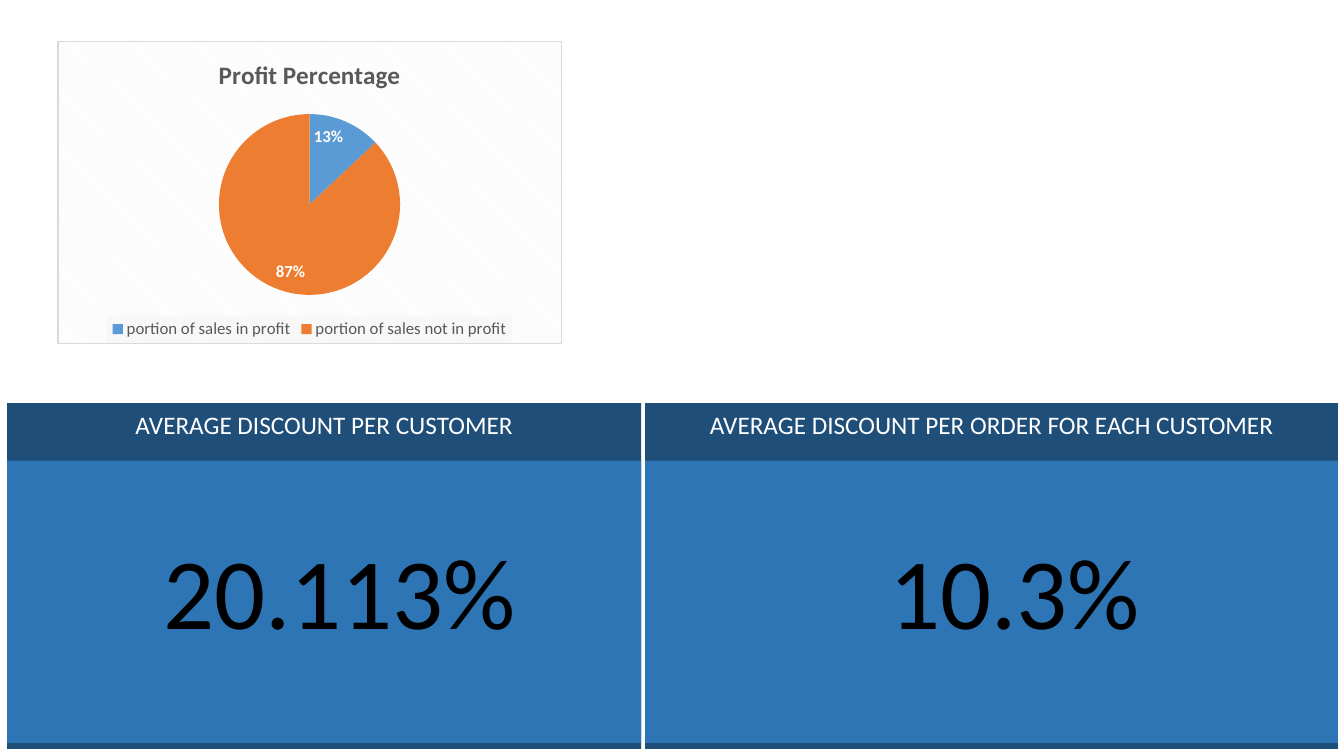
import pptx
import pptx.chart.data
import pptx.dml.color
import pptx.enum.chart
import pptx.enum.shapes
import pptx.enum.text
import pptx.oxml
import pptx.oxml.ns
import pptx.util
from pptx.util import Inches

NAMESPACES = pptx.oxml.ns.nsdecls("c", "a")


def color(hex_code):
    return pptx.dml.color.RGBColor.from_string(hex_code)


def area_format(content):
    """Return a chart spPr element holding the given fill and line XML."""
    return pptx.oxml.parse_xml(f"<c:spPr {NAMESPACES}>{content}</c:spPr>")


class Dashboard:
    FONT = "Calibri"
    HEADER_FILL = "1F4E79"
    VALUE_FILL = "2E75B6"
    GRAY = "595959"
    TOP = 4
    HEADER_HEIGHT = 0.57

    def __init__(self, slide):
        self.slide = slide

    def style_font(self, font, size, hex_code, bold=False):
        font.name = self.FONT
        font.size = pptx.util.Pt(size)
        font.bold = bold
        font.color.rgb = color(hex_code)

    def box(self, left, top, width, height, fill, text, size, text_color):
        shape = self.slide.shapes.add_shape(
            pptx.enum.shapes.MSO_SHAPE.RECTANGLE,
            Inches(left), Inches(top), Inches(width), Inches(height))
        shape.shadow.inherit = False
        shape.fill.solid()
        shape.fill.fore_color.rgb = color(fill)
        shape.line.fill.background()
        shape.text_frame.text = text
        shape.text_frame.word_wrap = True
        self.style_font(shape.text_frame.paragraphs[0].runs[0].font, size, text_color)
        return shape

    def metric(self, left, width, heading, value, value_indent):
        """Draw a dark panel with a heading and a lighter area with a large value."""
        panel = self.box(left, self.TOP, width, 3.43, self.HEADER_FILL, heading, 18, "FFFFFF")
        panel.text_frame.vertical_anchor = pptx.enum.text.MSO_ANCHOR.TOP
        panel.text_frame.margin_top = Inches(0.06)
        panel.text_frame.paragraphs[0].alignment = pptx.enum.text.PP_ALIGN.CENTER

        area = self.box(left, self.TOP + self.HEADER_HEIGHT, width, 2.8,
                        self.VALUE_FILL, value, 72, "000000")
        area.text_frame.vertical_anchor = pptx.enum.text.MSO_ANCHOR.MIDDLE
        area.text_frame.margin_left = Inches(value_indent)
        area.text_frame.margin_bottom = Inches(0.29)
        area.text_frame.paragraphs[0].alignment = pptx.enum.text.PP_ALIGN.LEFT

    def pie(self, left, top, width, height, title, portions):
        """Draw a pie from a list of (name, value, colour) portions."""
        names, values, fills = zip(*portions)
        chart_data = pptx.chart.data.CategoryChartData()
        chart_data.categories = names
        chart_data.add_series("Series 1", values)
        chart = self.slide.shapes.add_chart(
            pptx.enum.chart.XL_CHART_TYPE.PIE, Inches(left), Inches(top),
            Inches(width), Inches(height), chart_data).chart
        self.style_font(chart.font, 10, "000000")

        chart.has_title = True
        chart.chart_title.include_in_layout = False
        chart.chart_title.text_frame.text = title
        title_run = chart.chart_title.text_frame.paragraphs[0].runs[0]
        self.style_font(title_run.font, 18, self.GRAY, bold=True)

        chart.has_legend = True
        chart.legend.position = pptx.enum.chart.XL_LEGEND_POSITION.BOTTOM
        chart.legend.include_in_layout = False
        self.style_font(chart.legend.font, 12, self.GRAY)

        plot = chart.plots[0]
        plot.vary_by_categories = True
        for index, fill in enumerate(fills):
            point = plot.series[0].points[index]
            point.format.fill.solid()
            point.format.fill.fore_color.rgb = color(fill)
            point.format.line.fill.background()
        labels = plot.series[0].data_labels
        labels.show_percentage = True
        labels.show_value = False
        labels.position = pptx.enum.chart.XL_LABEL_POSITION.INSIDE_END
        self.style_font(labels.font, 12, "FFFFFF", bold=True)
        self.format_chart_areas(chart.element)

    def format_chart_areas(self, chart_space):
        """Set the hatched background, the pale legend and the pie's place."""
        chart_space.xpath("c:txPr")[0].addprevious(area_format(
            '<a:pattFill prst="dkDnDiag"><a:fgClr><a:srgbClr val="F2F2F2"/></a:fgClr>'
            '<a:bgClr><a:srgbClr val="FFFFFF"/></a:bgClr></a:pattFill>'
            '<a:ln w="9525"><a:solidFill><a:srgbClr val="D9D9D9"/></a:solidFill></a:ln>'))
        chart_space.xpath("c:chart/c:legend/c:txPr")[0].addprevious(area_format(
            '<a:solidFill><a:srgbClr val="F2F2F2"><a:alpha val="39000"/></a:srgbClr>'
            '</a:solidFill><a:ln><a:noFill/></a:ln>'))
        plot_area = chart_space.xpath("c:chart/c:plotArea")[0]
        for layout in plot_area.xpath("c:layout"):
            plot_area.remove(layout)
        plot_area.insert(0, pptx.oxml.parse_xml(
            f'<c:layout {NAMESPACES}><c:manualLayout><c:layoutTarget val="inner"/>'
            '<c:xMode val="edge"/><c:yMode val="edge"/><c:x val="0.32"/><c:y val="0.24"/>'
            '<c:w val="0.36"/><c:h val="0.6"/></c:manualLayout></c:layout>'))


def main():
    presentation = pptx.Presentation()
    presentation.slide_width = Inches(13.33)
    presentation.slide_height = Inches(7.5)
    blank_layout = presentation.slide_layouts.get_by_name("Blank")
    dashboard = Dashboard(presentation.slides.add_slide(blank_layout))
    dashboard.metric(6.4, 6.87, "AVERAGE DISCOUNT PER ORDER FOR EACH CUSTOMER", "10.3%", 2.42)
    dashboard.pie(0.57, 0.41, 5, 3, "Profit Percentage", [
        ("portion of sales in profit", 13, "5B9BD5"),
        ("portion of sales not in profit", 87, "ED7D31"),
    ])
    dashboard.metric(0.07, 6.29, "AVERAGE DISCOUNT PER CUSTOMER", "20.113%", 1.55)
    presentation.save("out.pptx")


if __name__ == "__main__":
    main()
